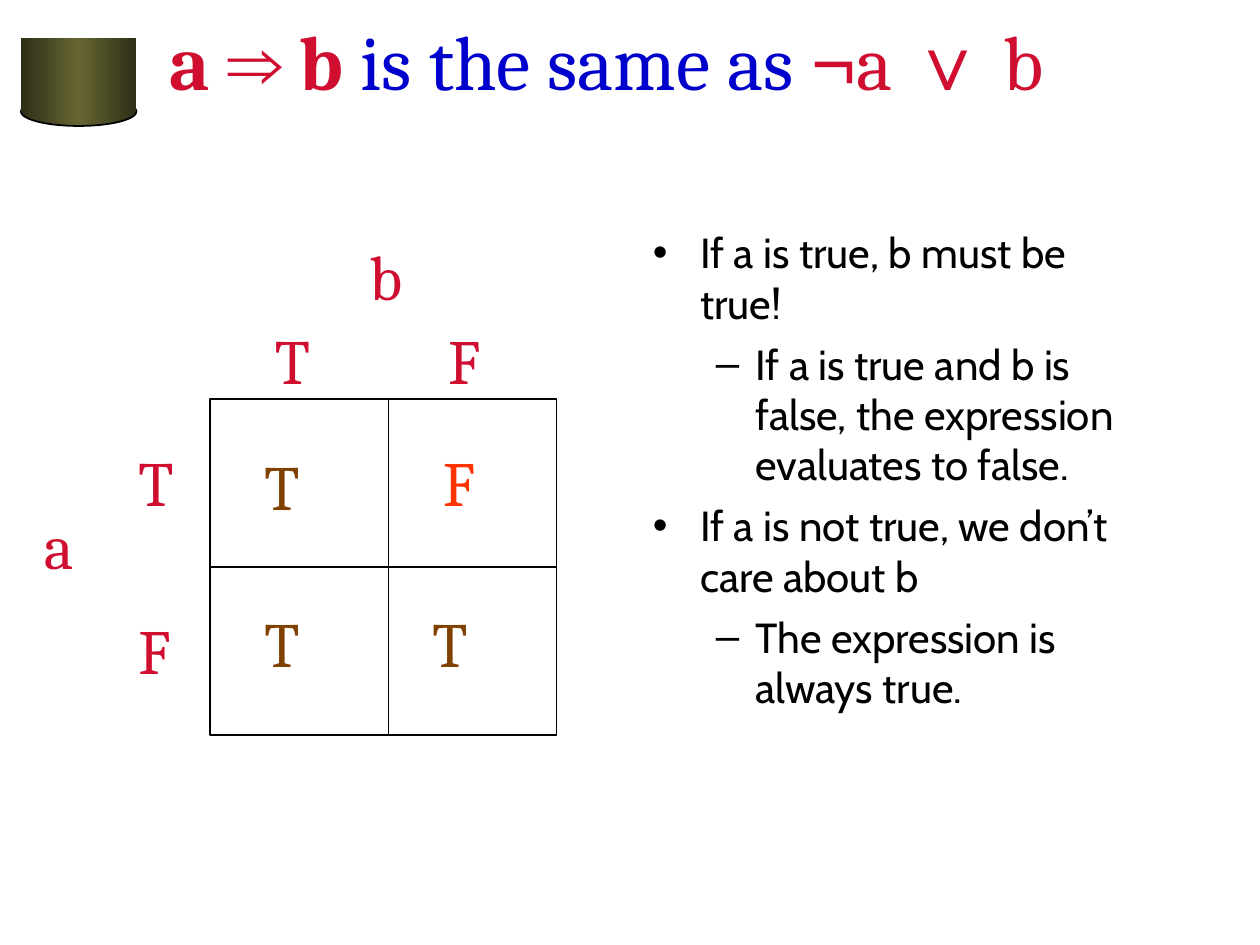
from copy import deepcopy

from lxml.etree import SubElement
from pptx import Presentation
from pptx.dml.color import RGBColor
from pptx.enum.shapes import MSO_CONNECTOR, MSO_SHAPE
from pptx.enum.text import MSO_ANCHOR, MSO_AUTO_SIZE
from pptx.oxml.ns import qn
from pptx.util import Pt

BLACK = RGBColor(0x00, 0x00, 0x00)
WHITE = RGBColor(0xFF, 0xFF, 0xFF)
RED = RGBColor(0xCF, 0x0E, 0x30)
BLUE = RGBColor(0x00, 0x00, 0xCC)
BROWN = RGBColor(0x80, 0x40, 0x00)
ORANGE = RGBColor(0xFF, 0x33, 0x00)
OLIVE = RGBColor(0x66, 0x66, 0x33)
DARK_OLIVE = RGBColor(0x2F, 0x2F, 0x18)


def add_span(para, text, font="Cambria", size=36, color=RED, bold=False):
    span = para.add_run()
    span.text = text
    span.font.name = font
    span.font.size = Pt(size)
    span.font.color.rgb = color
    span.font.bold = bold


class SlideBuilder:
    line_width = Pt(1)

    def __init__(self, page):
        self.page = page

    def text_box(self, left, top, width, height):
        box = self.page.shapes.add_textbox(Pt(left), Pt(top), Pt(width), Pt(height))
        box.text_frame.word_wrap = True
        return box.text_frame

    def title(self, spans, left, top, width, height):
        frame = self.text_box(left, top, width, height)
        frame.vertical_anchor = MSO_ANCHOR.MIDDLE
        for text, style in spans:
            add_span(frame.paragraphs[0], text, size=44, **style)

    def label(self, text, left, top, width, color=RED, tab=None):
        frame = self.text_box(left, top, width, 50.4)
        frame.auto_size = MSO_AUTO_SIZE.SHAPE_TO_FIT_TEXT
        para = frame.paragraphs[0]
        if tab:
            tabs = SubElement(para._p.get_or_add_pPr(), qn("a:tabLst"))
            SubElement(tabs, qn("a:tab"), pos=str(Pt(tab)), algn="l")
        add_span(para, text, color=color)

    def bullets(self, items, left, top, width, height):
        frame = self.text_box(left, top, width, height)
        for index, (level, text) in enumerate(items):
            para = frame.add_paragraph() if index else frame.paragraphs[0]
            mark, margin, indent = [("•", 27, -27), ("–", 58.5, -22.5)][level]
            para.level = level
            if index:
                para.space_before = Pt(6)
            properties = para._p.get_or_add_pPr()
            properties.set("marL", str(Pt(margin)))
            properties.set("indent", str(Pt(indent)))
            SubElement(properties, qn("a:buFont"), typeface="Arial")
            SubElement(properties, qn("a:buChar"), char=mark)
            add_span(para, text, font="Cabin", size=24, color=BLACK)

    def shape(self, kind, left, top, width, height, outlined=True):
        shape = self.page.shapes.add_shape(kind, Pt(left), Pt(top), Pt(width), Pt(height))
        shape.shadow.inherit = False
        shape.fill.solid()
        shape.fill.fore_color.rgb = WHITE
        if outlined:
            shape.line.color.rgb = BLACK
            shape.line.width = self.line_width
        else:
            shape.line.fill.background()
        return shape

    def metallic(self, kind, left, top, width, height, outlined):
        shape = self.shape(kind, left, top, width, height, outlined)
        shape.fill.gradient()
        shape.fill.gradient_angle = 0
        edge, middle = shape.fill.gradient_stops
        edge.color.rgb = DARK_OLIVE
        middle.color.rgb = OLIVE
        middle.position = 0.5
        stops = shape._element.spPr.find(".//" + qn("a:gsLst"))
        stops.append(deepcopy(stops[0]))
        shape.fill.gradient_stops[2].position = 1.0

    def line(self, start_x, start_y, end_x, end_y):
        line = self.page.shapes.add_connector(
            MSO_CONNECTOR.STRAIGHT, Pt(start_x), Pt(start_y), Pt(end_x), Pt(end_y))
        line.line.color.rgb = BLACK
        line.line.width = self.line_width
        SubElement(line._element.spPr, qn("a:effectLst"))


def main():
    deck = Presentation()
    deck.slide_width, deck.slide_height = Pt(720), Pt(540)
    slide = SlideBuilder(deck.slides.add_slide(deck.slide_layouts[6]))

    slide.metallic(MSO_SHAPE.OVAL, 12, 55.5, 66, 16.5, outlined=True)
    slide.metallic(MSO_SHAPE.RECTANGLE, 12, 21.5, 66, 42.5, outlined=False)

    slide.title([
        ("a ", {"bold": True}),
        ("⇒", {"font": "Arial", "bold": True}),
        (" b", {"bold": True}),
        (" is the same as ", {"color": BLUE}),
        ("¬", {"font": "Arial"}),
        ("a ", {}),
        ("∨", {"font": "Arial"}),
        (" b", {}),
    ], 90, 10, 594, 48)

    slide.bullets([
        (0, "If a is true, b must be true!"),
        (1, "If a is true and b is false, the expression evaluates to false."),
        (0, "If a is not true, we don’t care about b"),
        (1, "The expression is always true."),
    ], 366, 126, 300, 372)

    left, top, width, height = 120, 228, 198, 192
    middle_x, middle_y = 222, top + height / 2
    slide.shape(MSO_SHAPE.RECTANGLE, left, top, width, height)
    slide.line(left, middle_y, left + width, middle_y)
    slide.line(middle_x, top, middle_x, top + height)

    slide.label("a", 18, 286, 54)
    slide.label("b", 204, 132, 48)
    slide.label("T\tF", 150, 180, 174, tab=99)
    slide.label("T", 72, 250, 30)
    slide.label("F", 72, 346, 42)

    slide.label("T", 144, 252, 42, color=BROWN)
    slide.label("F", 246, 250, 42, color=ORANGE)
    slide.label("T", 144, 342, 48, color=BROWN)
    slide.label("T", 240, 342, 78, color=BROWN)

    deck.save("out.pptx")


if __name__ == "__main__":
    main()
